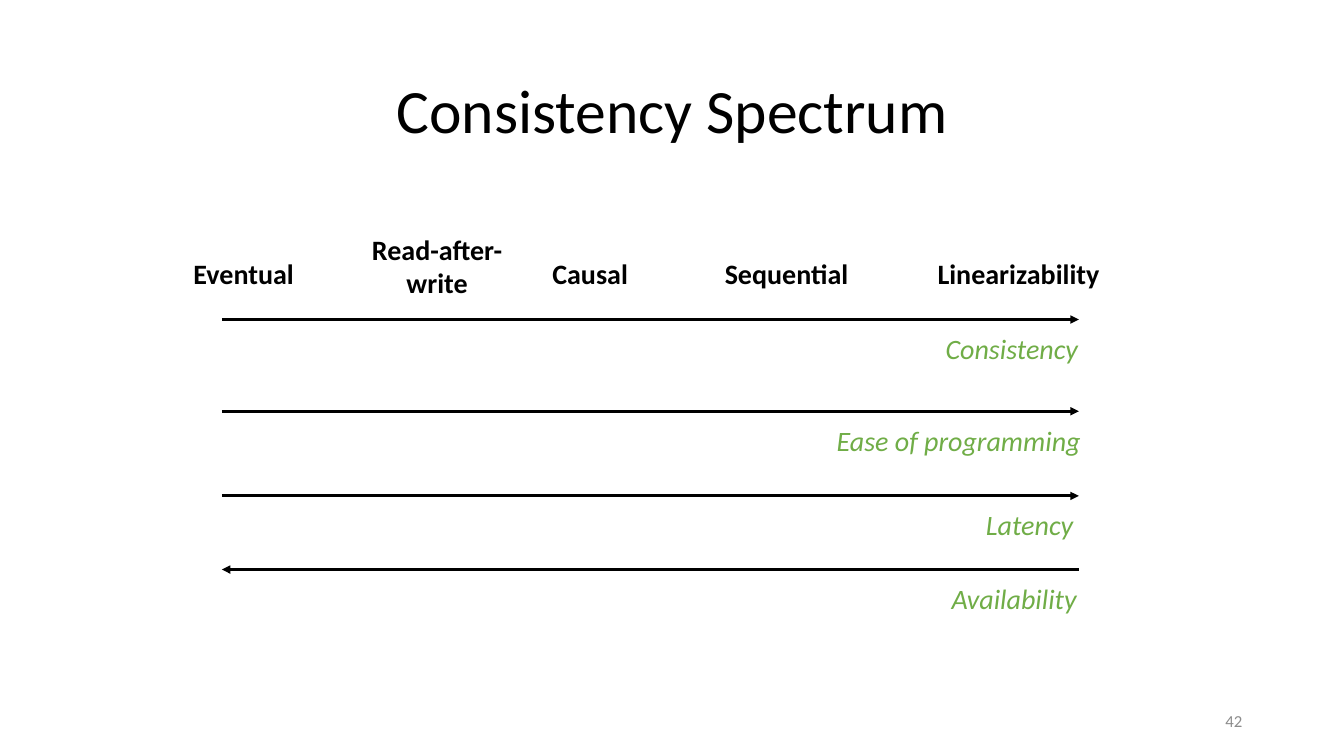
import pptx
import pptx.util
import pptx.dml.color
import pptx.enum.text
import pptx.enum.shapes
import pptx.oxml.ns
import lxml.etree

# Content
TITLE = "Consistency Spectrum"
PAGE = "42"
MODELS = [  # lines, left, width
    (["Eventual"], 1.82, 1.21),
    (["Read-after-", "write"], 3.58, 1.51),
    (["Causal"], 5.38, 0.96),
    (["Sequential"], 7.09, 1.44),
    (["Linearizability"], 9.2, 1.82),
]
TRAITS = [  # name, arrow height, label left, label width, points right
    ("Consistency", 3.17, 9.28, 1.73, True),
    ("Ease of programming", 4.08, 8.2, 2.88, True),
    ("Latency", 4.92, 9.68, 1.18, True),
    ("Availability", 5.65, 9.34, 1.53, False),
]
COLORS = {"ink": "000000", "trait": "70AD47", "page": "8C8C8C"}
FONT = "Calibri"
WIDE, HIGH = 13.33, 7.5
START, END = 2.2, 10.7   # arrow span
MID = 2.5 + 0.44 / 2     # centre line of one-line headings
ROW, PAD = 0.33, 0.11    # line height, extra box height
GAP = 0.07               # arrow to label

Inches = pptx.util.Inches
Align = pptx.enum.text.PP_ALIGN
Anchor = pptx.enum.text.MSO_ANCHOR


def write(para, text, size, color, bold=False, italic=False):
    run = para.add_run()
    run.text = text
    font = run.font
    font.name, font.size = FONT, pptx.util.Pt(size)
    font.bold, font.italic = bold, italic
    font.color.rgb = pptx.dml.color.RGBColor.from_string(COLORS[color])


def place(shape, left, top, width, height):
    shape.left, shape.top = Inches(left), Inches(top)
    shape.width, shape.height = Inches(width), Inches(height)


def label(slide, lines, left, top, width, color, **style):
    height = ROW * len(lines) + PAD
    box = slide.shapes.add_textbox(*map(Inches, (left, top, width, height)))
    frame = box.text_frame
    frame.word_wrap = False
    frame.auto_size = pptx.enum.text.MSO_AUTO_SIZE.SHAPE_TO_FIT_TEXT
    for i, line in enumerate(lines):
        para = frame.add_paragraph() if i else frame.paragraphs[0]
        para.alignment = Align.CENTER if len(lines) > 1 else Align.LEFT
        write(para, line, 20, color, **style)


def arrow(slide, tail, head, y):
    line = slide.shapes.add_connector(
        pptx.enum.shapes.MSO_CONNECTOR.STRAIGHT,
        Inches(tail), Inches(y), Inches(head), Inches(y))
    line.line.width = pptx.util.Pt(2)
    line.line.color.rgb = pptx.dml.color.RGBColor.from_string(COLORS["ink"])
    qn = pptx.oxml.ns.qn
    lxml.etree.SubElement(line.line._get_or_add_ln(), qn("a:tailEnd"), type="triangle")
    lxml.etree.SubElement(line._element.spPr, qn("a:effectLst"))


def main():
    deck = pptx.Presentation()
    deck.slide_width, deck.slide_height = Inches(WIDE), Inches(HIGH)
    slide = deck.slides.add_slide(deck.slide_layouts[5])

    # Title
    title = slide.shapes.title
    place(title, 0.92, 0.4, 11.5, 1.45)
    title.text_frame.vertical_anchor = Anchor.MIDDLE
    para = title.text_frame.paragraphs[0]
    para.alignment, para.line_spacing = Align.CENTER, 0.9
    write(para, TITLE, 44, "ink")

    # Consistency models, centred on one line
    for lines, left, width in MODELS:
        drop = 0.08 * (len(lines) - 1)
        top = MID - (ROW * len(lines) + PAD) / 2 - drop
        label(slide, lines, left, top, width, "ink", bold=True)

    # Arrows with their traits
    for name, y, left, width, right in TRAITS:
        ends = (START, END) if right else (END, START)
        arrow(slide, *ends, y)
        label(slide, [name], left, y + GAP, width, "trait", italic=True)

    # Page number
    page = slide.shapes.add_textbox(0, 0, 0, 0)
    place(page, 9.42, 6.95, 3, 0.4)
    page.text_frame.word_wrap = True
    page.text_frame.vertical_anchor = Anchor.MIDDLE
    para = page.text_frame.paragraphs[0]
    para.alignment = Align.RIGHT
    write(para, PAGE, 12, "page")

    deck.save("out.pptx")


if __name__ == "__main__":
    main()
